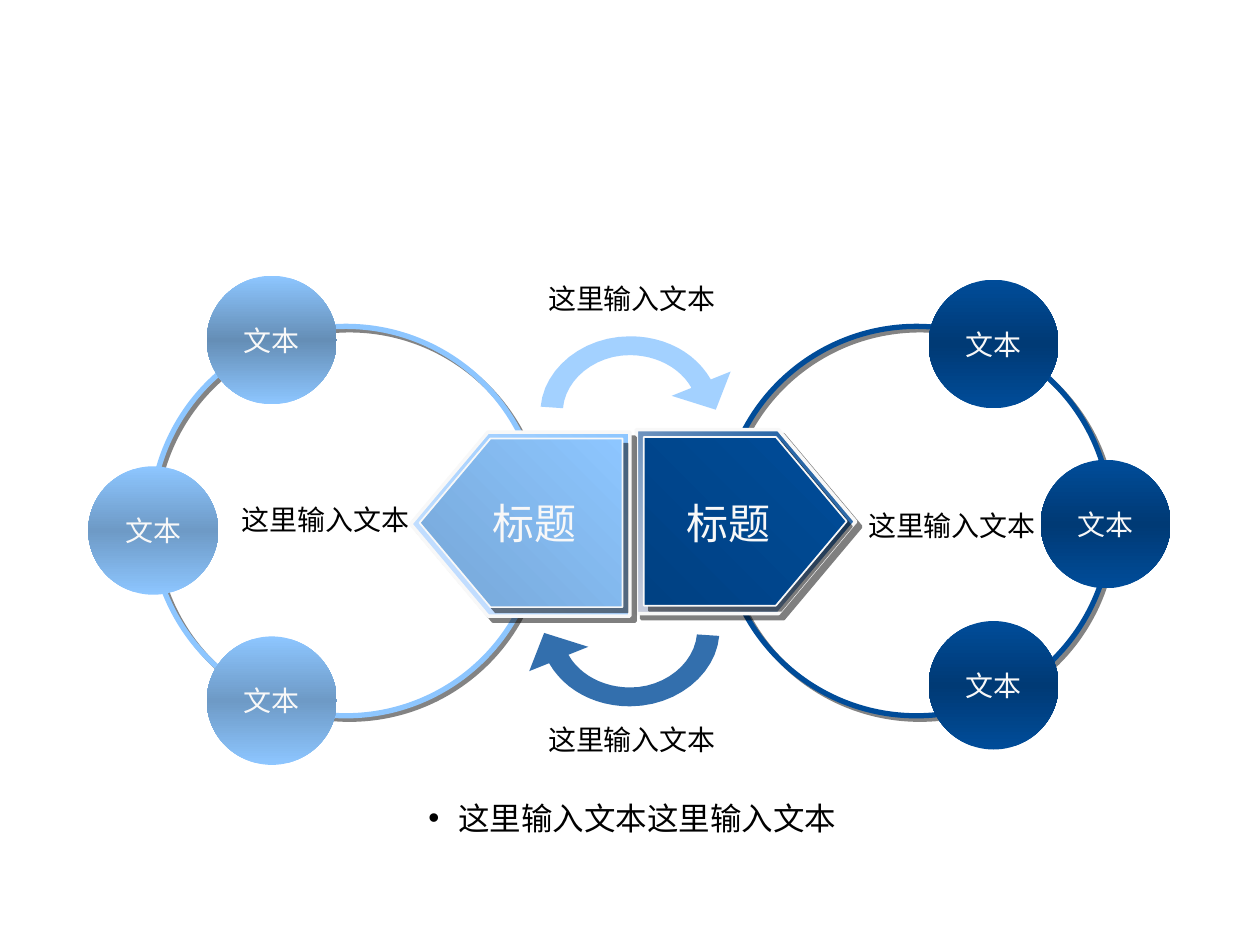
from lxml import etree
from pptx import Presentation, util as u
from pptx.dml.color import RGBColor
from pptx.enum import shapes, text
from pptx.oxml import ns

LIGHT, DARK, WHITE, BLACK = "8DC6FF", "004C99", "F8F8F8", "000000"
LABEL = "这里输入文本"
RING_SIZE = 7.85
BALL_SIZE = (2.62, 2.59)
OUTER_SIZE, INNER_SIZE = (4.42, 3.71), (4.09, 3.4)

# Curved arrow in cm: two points make a line, six make a Bézier segment.
ARROW_START = (13.94, 7.82)
ARROW_SEGMENTS = [
    (13.72, 7.42, 13.23, 7.16, 12.7, 7.16),
    (11.99, 7.16, 11.4, 7.65, 11.35, 8.23),
    (10.9, 8.2),
    (10.97, 7.42, 11.76, 6.78, 12.7, 6.78),
    (13.41, 6.78, 14.02, 7.11, 14.33, 7.65),
    (14.73, 7.49),
    (14.43, 8.26),
    (13.54, 7.98),
]
ARROW_CENTRE = (12.7, 10.51)


def rgb(value):
    return RGBColor.from_string(value)


def add_child(parent, tag, **attributes):
    return etree.SubElement(parent, ns.qn(tag), attributes)


def add_alpha(color_element, percent):
    add_child(color_element, "a:alpha", val=str(percent * 1000))


def add_shadow(effects, color, distance):
    """Add a half-transparent shadow, down to the right, to an effect list."""
    shadow = add_child(effects, "a:outerShdw", dist=str(u.Pt(distance)),
                       dir="2700000", algn="ctr", rotWithShape="0")
    add_alpha(add_child(shadow, "a:srgbClr", val=color), 50)


def set_gradient(shape, colors, angle):
    """Fill with evenly spaced colours; the angle runs clockwise."""
    shape.fill.solid()
    solid = shape.element.spPr.find(ns.qn("a:solidFill"))
    gradient = etree.Element(ns.qn("a:gradFill"), rotWithShape="1")
    stops = add_child(gradient, "a:gsLst")
    for i, color in enumerate(colors):
        position = 100000 * i // (len(colors) - 1)
        stop = add_child(stops, "a:gs", pos=str(position))
        add_child(stop, "a:srgbClr", val=color)
    add_child(gradient, "a:lin", ang=str(angle * 60000), scaled="0")
    solid.getparent().replace(solid, gradient)


def add_preset(slide, preset, left, top, width, height, line=None, weight=0, shadow=None):
    shape = slide.shapes.add_shape(preset, u.Cm(left), u.Cm(top), u.Cm(width), u.Cm(height))
    shape.shadow.inherit = False
    if line:
        shape.line.color.rgb = rgb(line)
        shape.line.width = u.Pt(weight)
    else:
        shape.line.fill.background()
    if shadow:
        add_shadow(shape.element.spPr.find(ns.qn("a:effectLst")), *shadow)
    return shape


def write(frame, words, size, color, font="Arial"):
    frame.word_wrap = True
    frame.text = words
    paragraph = frame.paragraphs[0]
    paragraph.alignment = text.PP_ALIGN.CENTER
    run = paragraph.runs[0]
    run.font.size = u.Pt(size)
    run.font.name = font
    run.font.color.rgb = rgb(color)
    return run


def add_text(slide, words, left, top, width, height, size=16, color=BLACK, font="Arial"):
    box = slide.shapes.add_textbox(u.Cm(left), u.Cm(top), u.Cm(width), u.Cm(height))
    write(box.text_frame, words, size, color, font)
    return box.text_frame.paragraphs[0]


def add_ring(slide, left, color):
    ring = add_preset(slide, shapes.MSO_SHAPE.OVAL, left, 6.58, RING_SIZE, RING_SIZE,
                      color, 3, ("080808", 2.8))
    ring.fill.background()


def add_ball(slide, left, top, edge, middle):
    ball = add_preset(slide, shapes.MSO_SHAPE.OVAL, left, top, *BALL_SIZE)
    set_gradient(ball, [edge, middle, edge], 90)
    ball.text_frame.vertical_anchor = text.MSO_ANCHOR.MIDDLE
    write(ball.text_frame, "文本", 16, WHITE)


def add_plate(slide, left, top, size, weight, colors, pointing_left):
    plate = add_preset(slide, shapes.MSO_SHAPE.PENTAGON, left, top, *size,
                       WHITE, weight, (BLACK, 4.2))
    plate.adjustments[0] = 0.42
    set_gradient(plate, colors, 45 if pointing_left else 315)
    if pointing_left:
        plate.element.spPr.find(ns.qn("a:xfrm")).set("flipH", "1")


def add_title(slide, left):
    paragraph = add_text(slide, "标题", left, 9.91, 3.38, 1.22, 24, WHITE, "Calibri")
    color = paragraph.runs[0].font._element.find(ns.qn("a:solidFill"))
    effects = etree.Element(ns.qn("a:effectLst"))
    color.addnext(effects)
    add_shadow(effects, BLACK, 2)


def arrow_outline(steps=12):
    points = [ARROW_START]
    for segment in ARROW_SEGMENTS:
        if len(segment) == 2:
            points.append(segment)
            continue
        (x0, y0), (x1, y1, x2, y2, x3, y3) = points[-1], segment
        for i in range(1, steps + 1):
            t = i / steps
            s = 1 - t
            weights = s ** 3, 3 * s * s * t, 3 * s * t * t, t ** 3
            points.append(tuple(sum(w * v for w, v in zip(weights, values))
                                for values in ((x0, x1, x2, x3), (y0, y1, y2, y3))))
    return points


def half_turn(points):
    cx, cy = ARROW_CENTRE
    return [(2 * cx - x, 2 * cy - y) for x, y in points]


def add_arrow(slide, outline, color):
    start, *rest = [(u.Cm(x), u.Cm(y)) for x, y in outline]
    builder = slide.shapes.build_freeform(*start)
    builder.add_line_segments(rest, close=True)
    arrow = builder.convert_to_shape()
    arrow.shadow.inherit = False
    arrow.line.fill.background()
    arrow.fill.solid()
    arrow.fill.fore_color.rgb = rgb(color)
    add_alpha(arrow.element.spPr.find(ns.qn("a:solidFill"))[0], 80)


def add_bullet_line(slide):
    paragraph = add_text(slide, LABEL * 2, 4.45, 15.98, 16.59, 0.97, 18)
    properties = paragraph._p.get_or_add_pPr()
    properties.set("marL", str(u.Cm(0.6)))
    properties.set("indent", str(-u.Cm(0.6)))
    add_child(properties, "a:buFont", typeface="Arial")
    add_child(properties, "a:buChar", char="•")


def main():
    deck = Presentation()
    deck.slide_width, deck.slide_height = u.Cm(25.4), u.Cm(19.05)
    slide = deck.slides.add_slide(deck.slide_layouts[6])

    add_ring(slide, 14.55, DARK)
    add_ring(slide, 3.05, LIGHT)

    outline = arrow_outline()
    add_arrow(slide, outline, LIGHT)
    add_plate(slide, 12.83, 8.66, OUTER_SIZE, 2, ["CACEDC", DARK], False)
    add_plate(slide, 12.98, 8.81, INNER_SIZE, 1, ["004183", DARK], False)
    add_plate(slide, 8.28, 8.71, OUTER_SIZE, 2, [LIGHT, "CFE4FF"], True)
    add_plate(slide, 8.46, 8.84, INNER_SIZE, 1, [LIGHT, "76A6D6"], True)
    add_arrow(slide, half_turn(outline), DARK)

    for left, top, middle in [(4.17, 5.56, "658EB6"), (4.17, 12.83, "6E9AC6"),
                              (1.78, 9.4, "6E9AC6")]:
        add_ball(slide, left, top, LIGHT, middle)
    for left, top in [(18.72, 5.64), (18.72, 12.52), (20.98, 9.27)]:
        add_ball(slide, left, top, DARK, "003A75")

    for left in (9.09, 13):
        add_title(slide, left)
    for left, top in [(4.39, 10.01), (17.02, 10.13), (10.57, 5.56), (10.57, 14.45)]:
        add_text(slide, LABEL, left, top, 4.34, 0.89)
    add_bullet_line(slide)

    deck.save("out.pptx")


if __name__ == "__main__":
    main()
